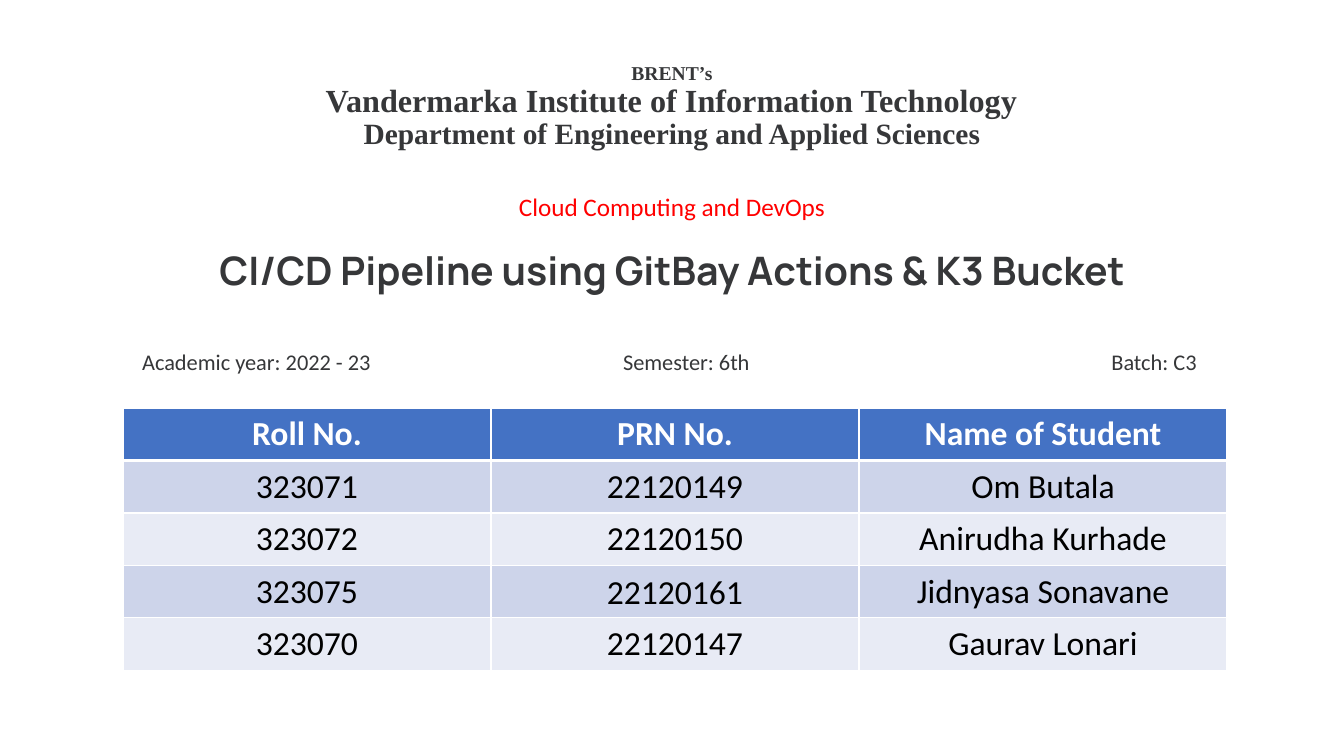
from lxml.etree import SubElement
from pptx import Presentation
from pptx.dml.color import RGBColor
from pptx.enum.text import MSO_ANCHOR as Anchor, PP_ALIGN as Align
from pptx.oxml import parse_xml
from pptx.oxml.ns import nsdecls, qn
from pptx.util import Inches, Pt

WIDTH, HEIGHT = 13.33, 7.5
DARK = "363739"
COLUMN_WIDTH, ROW_HEIGHT = 3.65, 0.52


def style(paragraph, size, color, font="Calibri", bold=False, align=Align.CENTER):
    paragraph.alignment = align
    paragraph.font.size = Pt(size)
    paragraph.font.name = font
    paragraph.font.bold = bold
    paragraph.font.color.rgb = RGBColor.from_string(color)


def add_text_frame(left, top, width, height, anchor=Anchor.MIDDLE):
    """Add a wrapping text box, placed in inches, and return its text frame."""
    box = slide.shapes.add_textbox(*map(Inches, (left, top, width, height)))
    box.text_frame.word_wrap = True
    box.text_frame.vertical_anchor = anchor
    return box.text_frame


presentation = Presentation()
presentation.slide_width, presentation.slide_height = Inches(WIDTH), Inches(HEIGHT)
slide = presentation.slides.add_slide(presentation.slide_layouts[6])

# Institute heading
heading = add_text_frame(WIDTH / 8, 0.39, WIDTH * 0.75, 1.16, Anchor.BOTTOM)
heading_lines = [
    ("BRENT’s", 14),
    ("Vandermarka Institute of Information Technology", 23),
    ("Department of Engineering and Applied Sciences", 21),
]
for index, (text, size) in enumerate(heading_lines):
    paragraph = heading.add_paragraph() if index else heading.paragraphs[0]
    paragraph.text = text
    paragraph.line_spacing = 0.9
    style(paragraph, size, DARK, "Times New Roman", True)

# Course
course = add_text_frame(WIDTH / 3, 1.85, WIDTH / 3, 0.4).paragraphs[0]
course.text = "Cloud Computing and DevOps"
style(course, 18, "FF0000")

# Project title and term details
project = add_text_frame(1.23, 2.39, 10.87, 1.38)
project.margin_left = project.margin_right = Inches(0.18)
title = project.paragraphs[0]
title.text = "CI/CD Pipeline using GitBay Actions & K3 Bucket"
style(title, 28, DARK, "Manrope", True)
details = project.add_paragraph()
details.text = "Academic year: 2022 - 23\tSemester: 6th\tBatch: C3"
details.space_before = Pt(39)
style(details, 16, DARK, align=Align.LEFT)
tab_stops = parse_xml(f"<a:tabLst {nsdecls('a')}/>")
for position, alignment in [(4.77, "l"), (10.46, "r")]:
    SubElement(tab_stops, qn("a:tab"), pos=str(Inches(position)), algn=alignment)
details._p.get_or_add_pPr().insert_element_before(tab_stops, "a:defRPr", "a:extLst")

# Students
students = [
    ("Roll No.", "PRN No.", "Name of Student"),
    ("323071", "22120149", "Om Butala"),
    ("323072", "22120150", "Anirudha Kurhade"),
    ("323075", "22120161", "Jidnyasa Sonavane"),
    ("323070", "22120147", "Gaurav Lonari"),
]
rows, columns = len(students), len(students[0])
table = slide.shapes.add_table(
    rows, columns, Inches(1.22), Inches(4.05),
    Inches(columns * COLUMN_WIDTH), Inches(rows * ROW_HEIGHT)).table
for column in table.columns:
    column.width = Inches(COLUMN_WIDTH)
for row_index, values in enumerate(students):
    is_header = row_index == 0
    fill = "4472C4" if is_header else ("E8EBF5", "CDD4EA")[row_index % 2]
    border_widths = {"lnL": 1, "lnR": 1, "lnT": 3 if row_index == 1 else 1,
                     "lnB": 3 if is_header else 1}
    table.rows[row_index].height = Inches(ROW_HEIGHT)
    for column_index, value in enumerate(values):
        cell = table.cell(row_index, column_index)
        cell.text = value
        cell.vertical_anchor = Anchor.MIDDLE
        cell.margin_left = cell.margin_right = cell.margin_top = cell.margin_bottom = 0
        style(cell.text_frame.paragraphs[0], 24,
              "FFFFFF" if is_header else "000000", bold=is_header)
        cell.fill.solid()
        cell.fill.fore_color.rgb = RGBColor.from_string(fill)
        properties = cell._tc.get_or_add_tcPr()
        for order, (side, width) in enumerate(border_widths.items()):
            properties.insert(order, parse_xml(
                f'<a:{side} {nsdecls("a")} w="{Pt(width)}"><a:solidFill>'
                f'<a:srgbClr val="FFFFFF"/></a:solidFill></a:{side}>'))
table.cell(3, 1).text_frame.paragraphs[0].line_spacing = 1.07

presentation.save("out.pptx")
